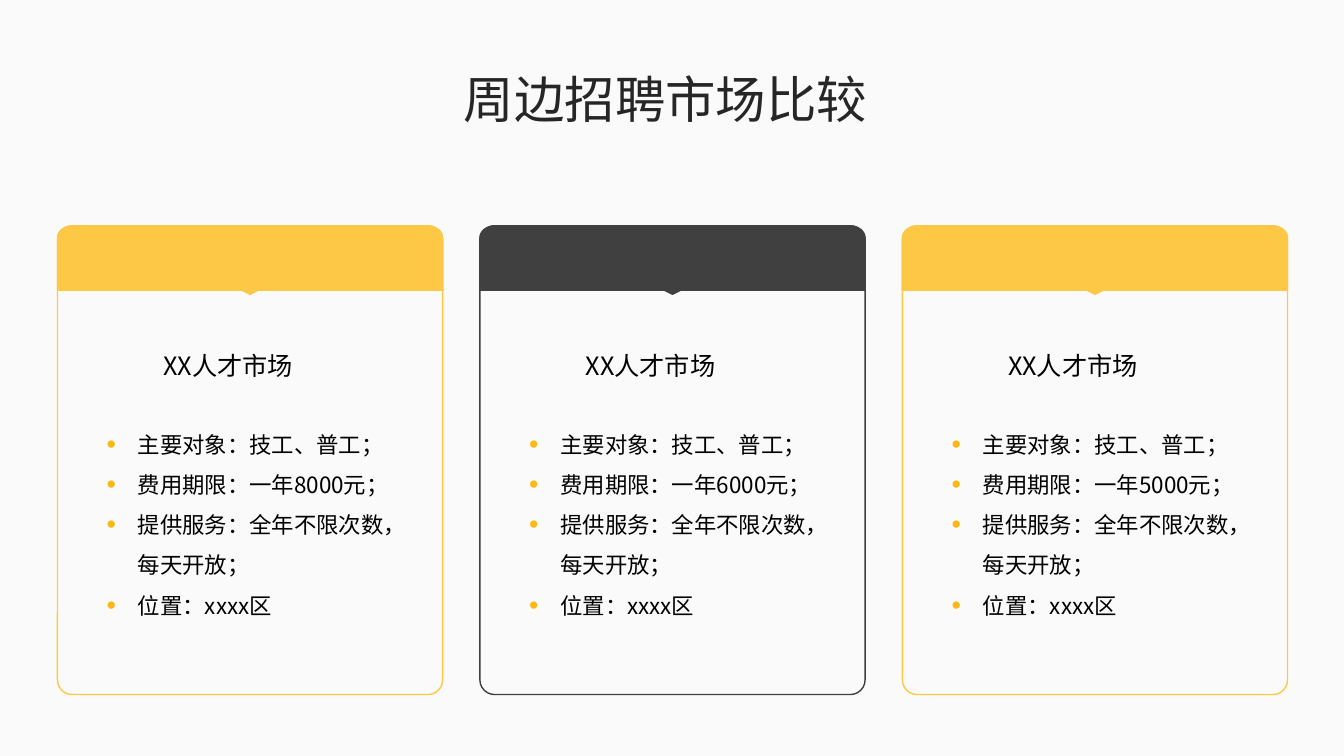
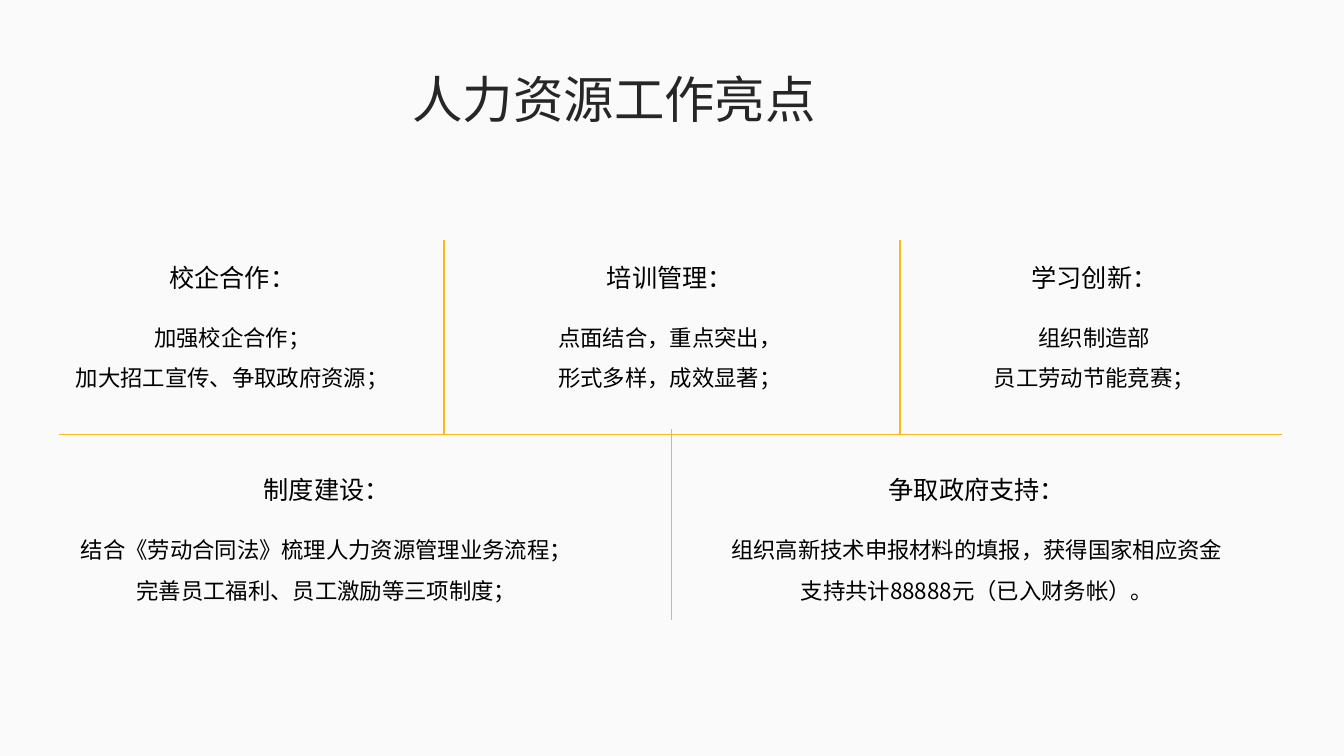
import math

from lxml import etree
from pptx import Presentation
from pptx.dml.color import RGBColor
from pptx.enum.shapes import MSO_CONNECTOR, MSO_SHAPE
from pptx.enum.text import MSO_ANCHOR, MSO_AUTO_SIZE, PP_ALIGN
from pptx.oxml.ns import qn
from pptx.util import Inches, Pt

ROUNDED = MSO_SHAPE.ROUNDED_RECTANGLE
STRAIGHT = MSO_CONNECTOR.STRAIGHT
TOP = MSO_ANCHOR.TOP
GROW = MSO_AUTO_SIZE.SHAPE_TO_FIT_TEXT
JUSTIFY, CENTER, LEFT = PP_ALIGN.JUSTIFY, PP_ALIGN.CENTER, PP_ALIGN.LEFT
TITLE_ONLY = 5

FONT = "Noto Sans CJK SC"
COLORS = {
    "background": "FBFAFB",
    "title": "262626",
    "text": "000000",
    "yellow": "FCC846",
    "dark": "404040",
    "accent": "FBB817",
}
TITLE = {"size": Pt(36), "color": "title", "align": JUSTIFY}
CARD_HEADING = {"size": Pt(18), "color": "text", "align": JUSTIFY}
CELL_HEADING = {**CARD_HEADING, "align": CENTER}
CARD_BODY = {"size": Pt(16), "color": "text", "align": LEFT, "spacing": 1.5,
             "bullet": True}
CELL_BODY = {**CARD_BODY, "align": CENTER, "bullet": False}

CARD_WIDTH, CARD_HEIGHT, CARD_STEP = 3.82, 4.65, 4.19
BAND_HEIGHT = 0.64


def color(name):
    return RGBColor.from_string(COLORS[name])


# Text
def add_bullet(paragraph):
    properties = paragraph._p.get_or_add_pPr()
    properties.set("marL", str(Inches(0.31)))
    properties.set("indent", str(-Inches(0.31)))
    bullet_color = etree.SubElement(properties, qn("a:buClr"))
    etree.SubElement(bullet_color, qn("a:srgbClr"), val=COLORS["accent"])
    etree.SubElement(properties, qn("a:buSzPct"), val="120000")
    etree.SubElement(properties, qn("a:buFont"), typeface="Arial")
    etree.SubElement(properties, qn("a:buChar"), char="•")


def fill_text(shape, lines, style):
    frame = shape.text_frame
    frame_format = {"word_wrap": True, "auto_size": GROW, "vertical_anchor": TOP}
    for name, value in frame_format.items():
        setattr(frame, name, value)
    for index, line in enumerate(lines):
        paragraph = frame.add_paragraph() if index else frame.paragraphs[0]
        paragraph_format = {"alignment": style["align"], "space_before": Pt(0),
                            "line_spacing": style.get("spacing", 1.0)}
        for name, value in paragraph_format.items():
            setattr(paragraph, name, value)
        if style.get("bullet"):
            add_bullet(paragraph)
        run = paragraph.add_run()
        run.text = line
        run.font.size = style["size"]
        run.font.color.rgb = color(style["color"])
        run.font.name = FONT
        etree.SubElement(run._r.get_or_add_rPr(), qn("a:ea"), typeface=FONT)


def add_text(slide, left, top, width, height, lines, style):
    box = slide.shapes.add_textbox(*map(Inches, (left, top, width, height)))
    fill_text(box, lines, style)


def add_titled_slide(presentation, text, left, width):
    slide = presentation.slides.add_slide(presentation.slide_layouts[TITLE_ONLY])
    title = slide.shapes.title
    box = {"left": left, "top": 0.63, "width": width, "height": 0.71}
    for name, value in box.items():
        setattr(title, name, Inches(value))
    fill_text(title, [text], TITLE)
    return slide


# Comparison cards
def paint(shape, fill, line):
    shape.shadow.inherit = False
    shape.fill.solid()
    shape.fill.fore_color.rgb = color(fill)
    shape.line.color.rgb = color(line)
    shape.line.width = Pt(1)


def band_points(left, top):
    """Outline of a band with two rounded top corners and a small pointer."""
    radius_x, radius_y, steps = 0.15, 0.12, 8
    right, bottom, middle = left + CARD_WIDTH, top + BAND_HEIGHT, left + CARD_WIDTH / 2
    points = [(middle, bottom + 0.04), (middle + 0.08, bottom), (right, bottom)]
    corners = ((right - radius_x, 0), (left + radius_x, 90))
    for center_x, start in corners:
        for step in range(steps + 1):
            angle = math.radians(start + 90 * step / steps)
            points.append((center_x + radius_x * math.cos(angle),
                           top + radius_y * (1 - math.sin(angle))))
    return points + [(left, bottom), (middle - 0.08, bottom)]


def add_card(slide, left, top, tone, heading, lines):
    group = slide.shapes.add_group_shape()
    frame = group.shapes.add_shape(
        ROUNDED, *map(Inches, (left, top, CARD_WIDTH, CARD_HEIGHT)))
    frame.adjustments[0] = 0.038
    paint(frame, "background", tone)

    start, *others = [(Inches(x), Inches(y)) for x, y in band_points(left, top)]
    builder = group.shapes.build_freeform(*start)
    builder.add_line_segments(others, close=True)
    paint(builder.convert_to_shape(), tone, tone)

    add_text(slide, left + 0.95, top + 1.19, 1.92, 0.4, [heading], CARD_HEADING)
    add_text(slide, left + 0.39, top + 1.85, 3.04, 2.12, lines, CARD_BODY)


def build_market_slide(presentation):
    slide = add_titled_slide(presentation, "周边招聘市场比较", 4.5, 4.33)
    cards = (("yellow", 8000), ("dark", 6000), ("yellow", 5000))
    for index, (tone, fee) in enumerate(cards):
        lines = ["主要对象：技工、普工；", f"费用期限：一年{fee}元；",
                 "提供服务：全年不限次数，每天开放；", "位置：xxxx区"]
        add_card(slide, 0.57 + index * CARD_STEP, 2.24, tone, "XX人才市场", lines)


# Highlights grid
def add_divider(slide, *ends):
    connector = slide.shapes.add_connector(STRAIGHT, *map(Inches, ends))
    connector.line.color.rgb = color("accent")
    connector.line.width = Pt(1.25)
    etree.SubElement(connector._element.spPr, qn("a:effectLst"))


def add_cell(slide, left, top, width, heading, lines):
    add_text(slide, left, top, width, 0.4, [heading], CELL_HEADING)
    add_text(slide, left, top + 0.48, width, 0.91, lines, CELL_BODY)


def build_highlights_slide(presentation):
    slide = add_titled_slide(presentation, "人力资源工作亮点", 3.99, 5.35)
    middle = 4.31
    add_divider(slide, 0.59, middle, 12.72, middle)
    for x, top, bottom in ((4.4, 2.38, middle), (8.93, 2.38, middle),
                           (6.66, 4.26, 6.15)):
        add_divider(slide, x, top, x, bottom)

    rows = (
        (2.55, 3.43, (
            (0.59, "校企合作：", ["加强校企合作；", "加大招工宣传、争取政府资源；"]),
            (4.93, "培训管理：", ["点面结合，重点突出，", "形式多样，成效显著；"]),
            (9.14, "学习创新：", ["组织制造部", "员工劳动节能竞赛；"]),
        )),
        (4.66, 5.16, (
            (0.66, "制度建设：", ["结合《劳动合同法》梳理人力资源管理业务流程；",
                              "完善员工福利、员工激励等三项制度；"]),
            (7.11, "争取政府支持：", ["组织高新技术申报材料的填报，获得国家相应资金"
                                "支持共计88888元（已入财务帐）。"]),
        )),
    )
    for top, width, cells in rows:
        for left, heading, lines in cells:
            add_cell(slide, left, top, width, heading, lines)


def main():
    presentation = Presentation()
    presentation.slide_width, presentation.slide_height = Inches(13.33), Inches(7.5)
    background = presentation.slide_master.background.fill
    background.solid()
    background.fore_color.rgb = color("background")
    build_market_slide(presentation)
    build_highlights_slide(presentation)
    presentation.save("out.pptx")


if __name__ == "__main__":
    main()
